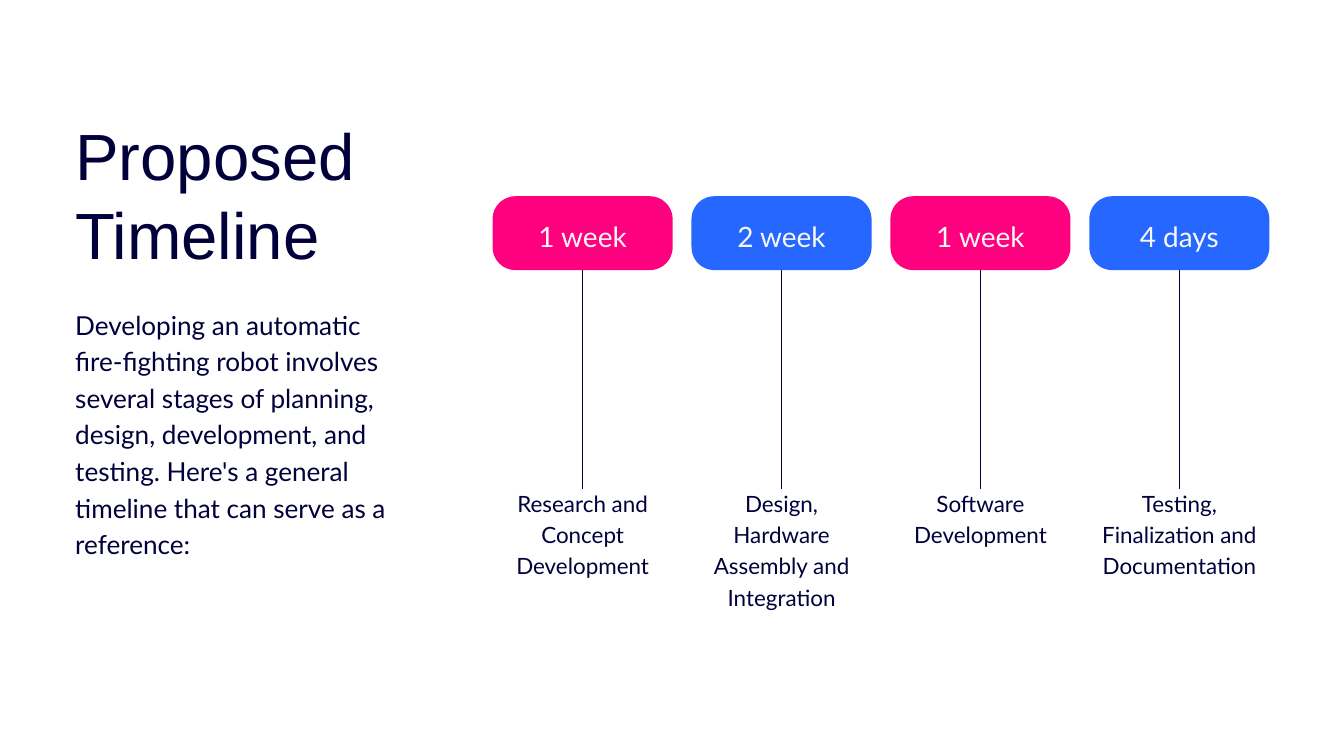
from pptx import Presentation
from pptx.dml.color import RGBColor as Rgb
from pptx.enum.shapes import MSO_CONNECTOR as Connector, MSO_SHAPE as Shape
from pptx.enum.text import MSO_ANCHOR as Anchor, MSO_AUTO_SIZE as AutoSize, PP_ALIGN as Align
from pptx.oxml.ns import qn
from pptx.util import Inches, Pt
from lxml.etree import SubElement

COLORS = {"navy": "01003B", "pink": "FF007E", "blue": "2667FF",
          "white": "FFFFFF", "light": "F8F8F8"}
COLUMNS, ROWS = 20, 11.25


class TimelineSlide:
    """Holds the slide and its style; lengths are grid columns and rows."""

    def __init__(self, deck):
        self.column = deck.slide_width / COLUMNS
        self.row = deck.slide_height / ROWS
        self.slide = deck.slides.add_slide(deck.slide_layouts[5])
        self.shapes = self.slide.shapes
        background = self.slide.background.fill
        background.solid()
        background.fore_color.rgb = self.color("white")

    @staticmethod
    def color(name):
        return Rgb.from_string(COLORS[name])

    def box(self, left, top, width, height):
        return (round(left * self.column), round(top * self.row),
                round(width * self.column), round(height * self.row))

    def set_text(self, shape, text, size, leading, color="navy", font="Lato",
                 align=Align.LEFT, anchor=Anchor.TOP):
        frame = shape.text_frame
        frame.text = text
        frame.word_wrap = True
        frame.auto_size = AutoSize.NONE
        frame.vertical_anchor = anchor
        frame.margin_left = frame.margin_right = 0
        frame.margin_top = frame.margin_bottom = 0
        for paragraph in frame.paragraphs:
            paragraph.alignment = align
            paragraph.line_spacing = Pt(leading)
            paragraph.space_before = Pt(0)
            for run in paragraph.runs:
                run.font.name = font
                run.font.size = Pt(size)
                run.font.color.rgb = self.color(color)

    def title(self, text, *place):
        heading = self.shapes.title
        heading.left, heading.top, heading.width, heading.height = self.box(*place)
        self.set_text(heading, text, 70, 84, font="Arial")

    def text(self, text, *place, size, leading, align=Align.LEFT):
        self.set_text(self.shapes.add_textbox(*self.box(*place)), text, size, leading,
                      align=align)

    def pill(self, text, fill, *place):
        pill = self.shapes.add_shape(Shape.ROUNDED_RECTANGLE, *self.box(*place))
        pill.adjustments[0] = 0.31
        pill.shadow.inherit = False
        pill.fill.solid()
        pill.fill.fore_color.rgb = self.color(fill)
        pill.line.fill.background()
        self.set_text(pill, text, 30, 42, "light", align=Align.CENTER, anchor=Anchor.MIDDLE)

    def stem(self, x, top, bottom):
        left, start, _, length = self.box(x, top, 0, bottom - top)
        stem = self.shapes.add_connector(Connector.STRAIGHT, left, start, left, start + length)
        stem.line.color.rgb = self.color("navy")
        stem.line.width = Pt(0.75)
        SubElement(stem.element.spPr, qn("a:effectLst"))


def main():
    deck = Presentation()
    deck.slide_width, deck.slide_height = Inches(20), Inches(11.25)
    timeline = TimelineSlide(deck)

    # Heading and introduction
    timeline.title("Proposed Timeline", 1.12, 1.72, 5.15, 2.34)
    timeline.text("Developing an automatic fire-fighting robot involves several stages of "
                  "planning, design, development, and testing. Here's a general timeline "
                  "that can serve as a reference:",
                  1.12, 4.52, 4.66, 4.3, size=28, leading=39.2)

    # Stages: duration, pill colour, description
    stages = [
        ("1 week", "pink", "Research and Concept Development"),
        ("2 week", "blue", "Design,\nHardware Assembly and Integration"),
        ("1 week", "pink", "Software Development"),
        ("4 days", "blue", "Testing, Finalization and Documentation"),
    ]
    first_center, pitch = 8.67, 2.96
    pill_width, pill_top, pill_height = 2.68, 2.92, 1.1
    label_width, label_top = 2.38, 7.22
    for index, (duration, fill, description) in enumerate(stages):
        center = first_center + index * pitch
        timeline.pill(duration, fill, center - pill_width / 2, pill_top, pill_width, pill_height)
        timeline.stem(center, pill_top + pill_height, 7.27)
        timeline.text(description, center - label_width / 2, label_top, label_width, 1.82,
                      size=24, leading=33.6, align=Align.CENTER)

    deck.save("out.pptx")


if __name__ == "__main__":
    main()
